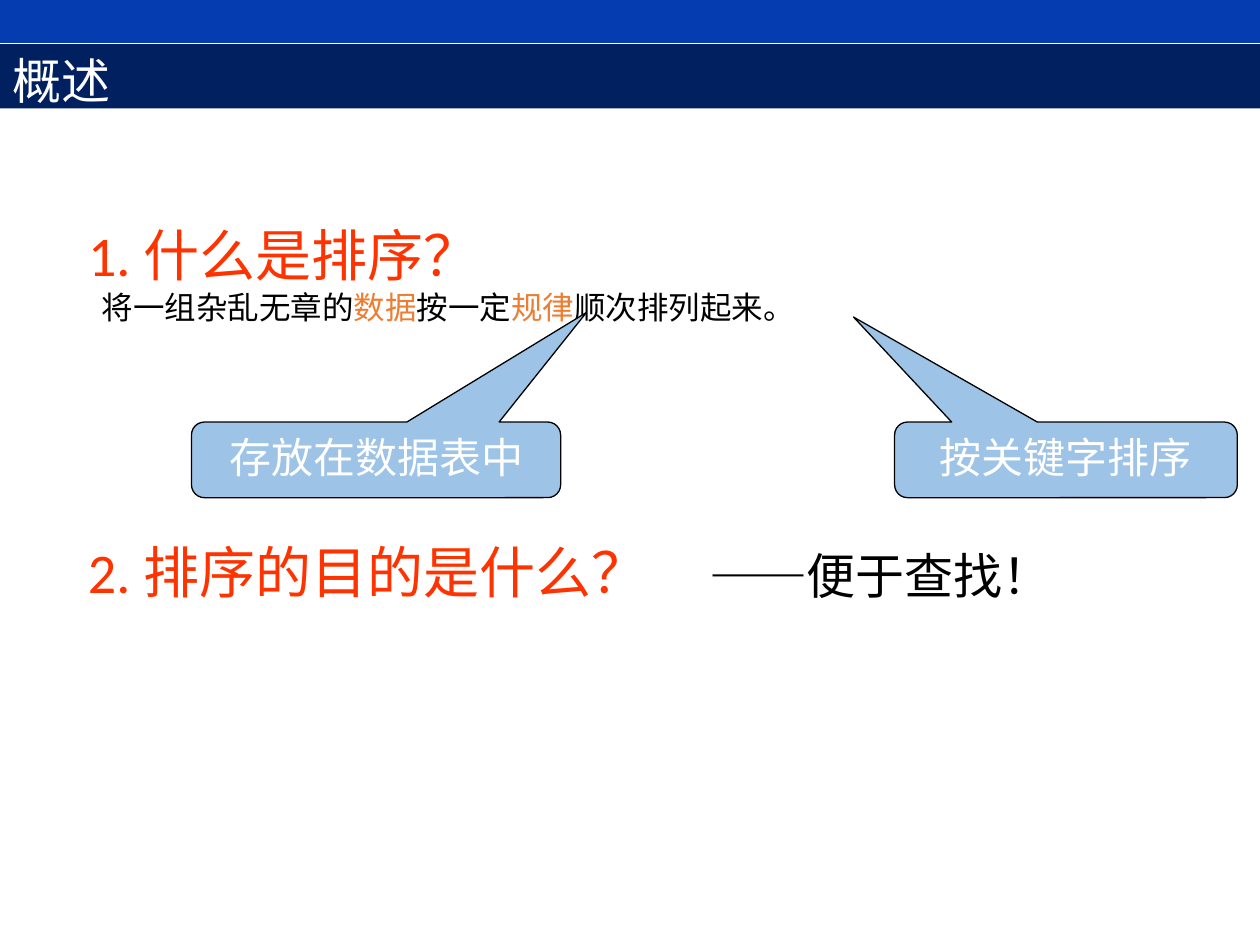
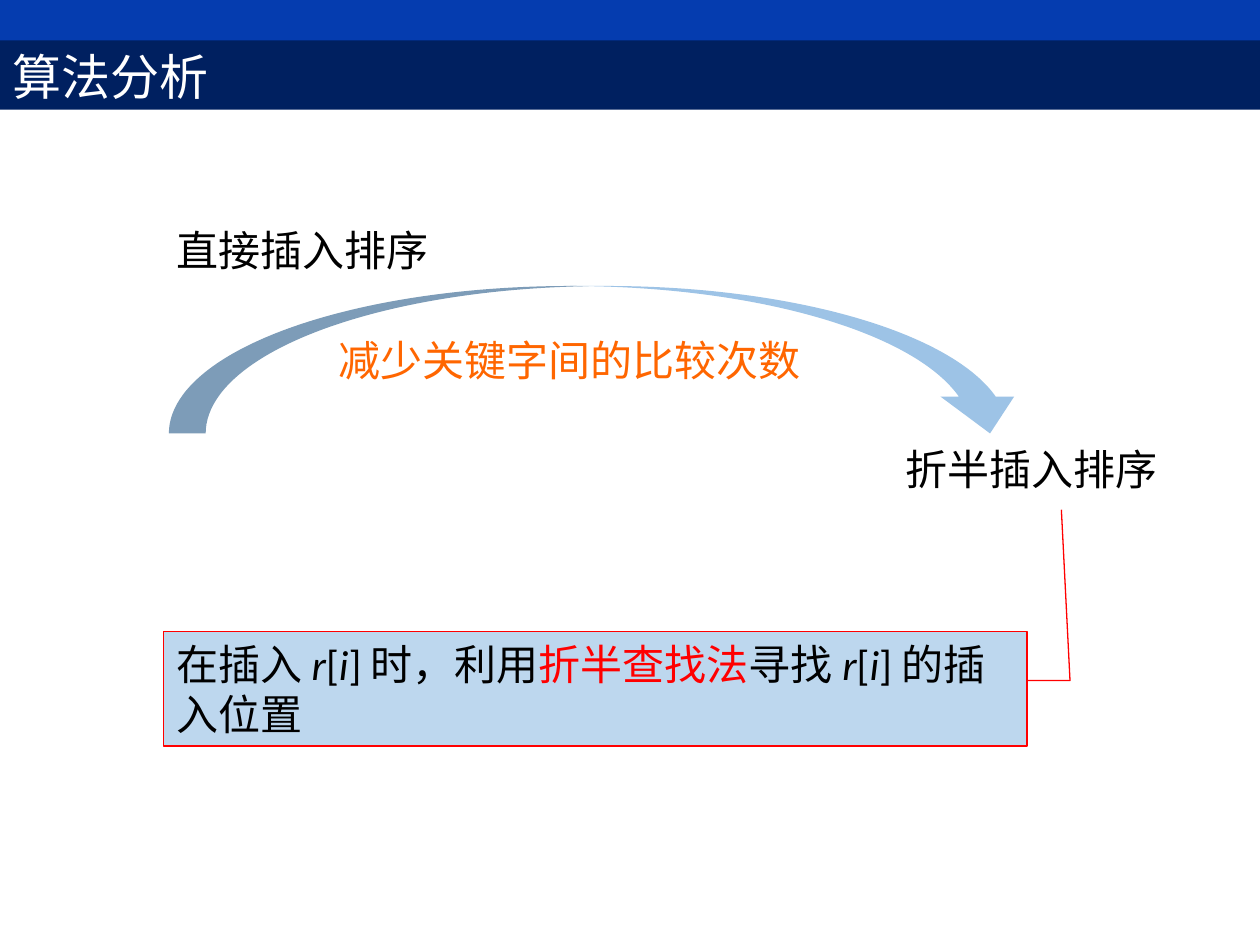
from pptx import Presentation
from pptx.dml.color import RGBColor
from pptx.enum.shapes import MSO_SHAPE
from pptx.enum.text import MSO_ANCHOR, PP_ALIGN
from pptx.util import Emu, Pt

PX = 9144
LATIN = "Calibri"
BLACK, WHITE, RED = "000000", "FFFFFF", "FF0000"
HEADING, ACCENT, ORANGE = "FF3300", "ED7D31", "FF6600"
TOP_BAND, TITLE_BAND = "053CAF", "002060"
CALLOUT, NOTE = "9DC3E6", "BDD7EE"


def color(target, code):
    if hasattr(target, "solid"):
        target.solid()
        target = target.fore_color
    target.rgb = RGBColor.from_string(code)


def place(page, at, paragraphs=(), kind=None, fill=None, line=None, adjust=(),
          anchor=MSO_ANCHOR.TOP, align=PP_ALIGN.LEFT, size=24, font=LATIN):
    bounds = [Emu(value * PX) for value in at]
    if kind is None:
        box = page.shapes.add_textbox(*bounds)
    else:
        box = page.shapes.add_shape(kind, *bounds)
        box.shadow.inherit = False
        color(box.fill, fill)
        if line:
            color(box.line.color, line)
            box.line.width = Pt(0.75)
        else:
            box.line.fill.background()
        for index, value in enumerate(adjust):
            box.adjustments[index] = value
    frame = box.text_frame
    for name, value in {"word_wrap": True, "vertical_anchor": anchor}.items():
        setattr(frame, name, value)
    for index, (indent, spans) in enumerate(paragraphs):
        para = frame.add_paragraph() if index else frame.paragraphs[0]
        para.alignment = align
        if indent:
            para._p.get_or_add_pPr().set("marL", str(indent * PX))
        for text, code, *changes in spans:
            span = para.add_run()
            span.text = text
            look = {"name": font, "size": Pt(size), "italic": False}
            for change in changes:
                look.update(change)
            for name, value in look.items():
                setattr(span.font, name, value)
            color(span.font.color, code)


deck = Presentation()
deck.slide_width, deck.slide_height = Emu(1000 * PX), Emu(750 * PX)

pages = []
for title, band, font in [
    ("概述", (0, 35, 1000, 51), "Times New Roman"),
    ("算法分析", (0, 32, 1001, 55), LATIN),
]:
    page = deck.slides.add_slide(deck.slide_layouts[6])
    place(page, (0, 0, 1000, 34), kind=MSO_SHAPE.RECTANGLE, fill=TOP_BAND)
    place(page, band, [(0, [(title, WHITE)])], kind=MSO_SHAPE.RECTANGLE,
          fill=TITLE_BAND, size=28, font=font)
    pages.append(page)
overview, analysis = pages

small = {"size": Pt(18)}
definition = [
    ("将一组杂乱无章的", BLACK, small),
    ("数据", ACCENT, small),
    ("按一定", BLACK, small),
    ("规律", ACCENT, small),
    ("顺次排列起来。", BLACK, small),
]
place(overview, (60, 170, 942, 110),
      [(0, [("1. 什么是排序？", HEADING)]), (11, definition)], size=32)
place(overview, (60, 422, 514, 63), [(0, [("2. 排序的目的是什么？", HEADING)])], size=32)
for text, left, width, adjust in [
    ("存放在数据表中", 152, 293, (0.57, -1.95, 0.17)),
    ("按关键字排序", 710, 272, (-0.62, -1.89, 0.17)),
]:
    place(overview, (left, 335, width, 60), [(0, [(text, WHITE)])],
          kind=MSO_SHAPE.ROUNDED_RECTANGULAR_CALLOUT, fill=CALLOUT, line=BLACK,
          adjust=adjust, align=PP_ALIGN.CENTER)
place(overview, (553, 428, 310, 57), [(0, [("——便于查找！", BLACK)])], size=28)

for text, left, top in [("折半插入排序", 709, 344), ("直接插入排序", 130, 170)]:
    place(analysis, (left, top, 224, 56), [(0, [(text, BLACK)])],
          anchor=MSO_ANCHOR.MIDDLE)
place(analysis, (134, 227, 681, 117), [(125, [("减少关键字间的比较次数", ORANGE)])],
      kind=MSO_SHAPE.CURVED_DOWN_ARROW, fill=CALLOUT, anchor=MSO_ANCHOR.MIDDLE)

italic = {"italic": True}
record = [("r", BLACK, italic), ("[", BLACK), ("i", BLACK, italic)]
method = [
    ("在插入 ", BLACK),
    *record,
    ("] 时，利用", BLACK),
    ("折半查找法", RED),
    ("寻找 ", BLACK),
    *record,
    ("] 的插入位置", BLACK),
]
place(analysis, (130, 501, 685, 91), [(0, method)], kind=MSO_SHAPE.LINE_CALLOUT_2,
      fill=NOTE, line=RED, adjust=(0.43, 1.0, 0.43, 1.05, -1.06, 1.04),
      anchor=MSO_ANCHOR.MIDDLE)

deck.save("out.pptx")
